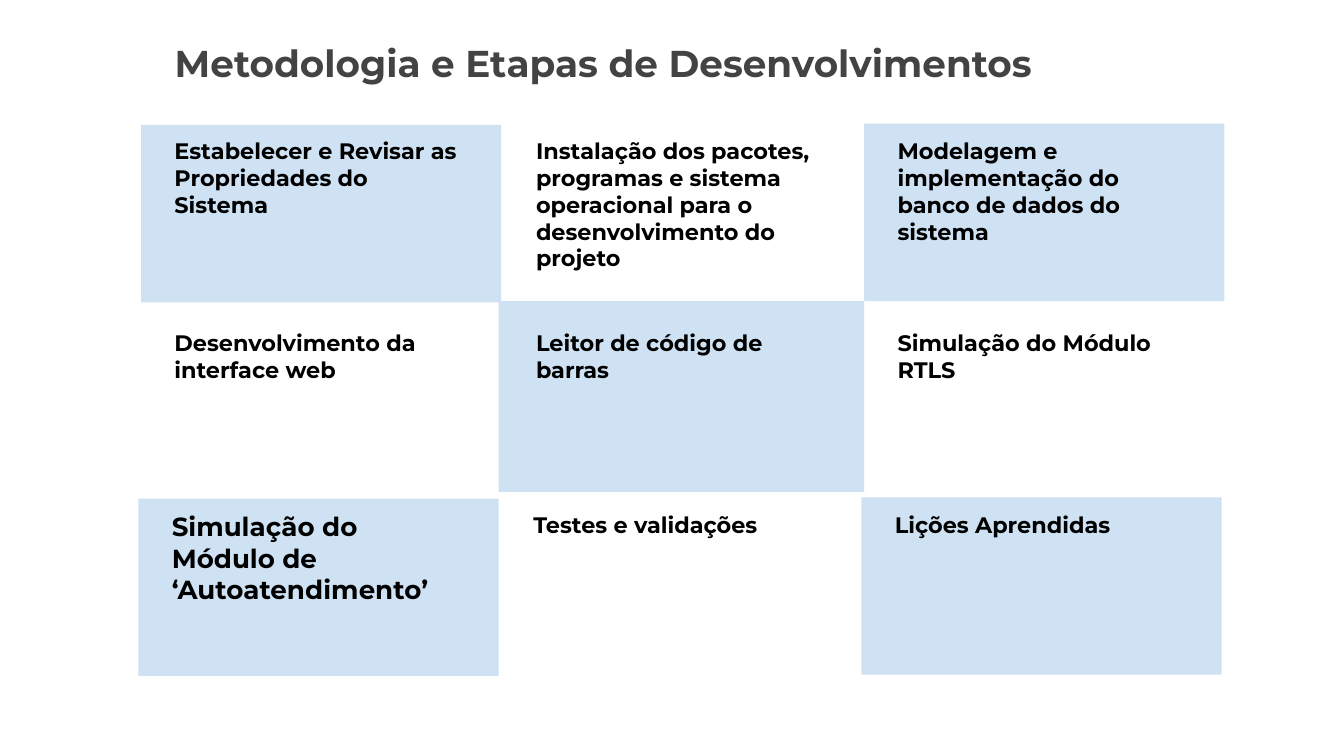
"""Build the slide of project steps as a checkered grid."""
from dataclasses import dataclass

import pptx
import pptx.dml.color
import pptx.enum.shapes
import pptx.enum.text
import pptx.shapes.autoshape
import pptx.slide
import pptx.util

Pt = pptx.util.Pt
FONT = "Montserrat"
BLUE, BLACK, GRAY = "CFE2F3", "000000", "434343"
LEFT, PITCH = 86.4, 193.7
WIDE, HIGH = 170.64, 89.28


@dataclass
class Box:
    left: float
    top: float
    width: float
    height: float


@dataclass
class Step:
    text: str
    size: float = 12


@dataclass
class Row:
    top: float
    shift: float
    steps: list[Step]


ROWS = [
    Row(66.24, 0, [
        Step("Estabelecer e Revisar as Propriedades do Sistema"),
        Step("Instalação dos pacotes, programas e sistema operacional "
             "para o desenvolvimento do projeto"),
        Step("Modelagem e implementação do banco de dados do sistema"),
    ]),
    Row(169.2, 0, [
        Step("Desenvolvimento da interface web"),
        Step("Leitor de código de barras"),
        Step("Simulação do Módulo RTLS"),
    ]),
    Row(266.4, -1.44, [
        Step("Simulação do Módulo de ‘Autoatendimento’", 14),
        Step("Testes e validações"),
        Step("Lições Aprendidas"),
    ]),
]
TILES = [
    Box(75.6, 66.96, 192.96, 95.04),
    Box(462.96, 66.24, 192.96, 95.04),
    Box(267.12, 161.28, 195.84, 102.24),
    Box(74.16, 267.12, 192.96, 95.04),
    Box(461.52, 266.4, 192.96, 95.04),
]


def color(code: str) -> pptx.dml.color.RGBColor:
    """Turn a hex string into a color."""
    return pptx.dml.color.RGBColor.from_string(code)


def tile(slide: pptx.slide.Slide, box: Box) -> None:
    """Draw one blue tile."""
    shape = slide.shapes.add_shape(
        pptx.enum.shapes.MSO_SHAPE.RECTANGLE,
        Pt(box.left), Pt(box.top), Pt(box.width), Pt(box.height))
    shape.shadow.inherit = False
    shape.fill.solid()
    shape.fill.fore_color.rgb = color(BLUE)
    shape.line.fill.background()


def write(shape: pptx.shapes.autoshape.Shape, text: str, size: float,
          code: str) -> None:
    """Put bold text at the top left of a shape."""
    frame = shape.text_frame
    frame.text = text
    frame.word_wrap = True
    frame.auto_size = pptx.enum.text.MSO_AUTO_SIZE.NONE
    frame.vertical_anchor = pptx.enum.text.MSO_ANCHOR.TOP
    frame.margin_left = frame.margin_right = Pt(7.2)
    frame.margin_top = frame.margin_bottom = Pt(7.2)
    line = frame.paragraphs[0]
    line.alignment = pptx.enum.text.PP_ALIGN.LEFT
    line.line_spacing = 1.0
    line.space_before = Pt(0)
    font = line.runs[0].font
    font.name, font.size, font.bold = FONT, Pt(size), True
    font.color.rgb = color(code)


def main() -> None:
    """Build and save the deck."""
    deck = pptx.Presentation()
    deck.slide_width, deck.slide_height = Pt(720), Pt(405)
    slide = deck.slides.add_slide(deck.slide_layouts.get_by_name("Title Only"))

    title = slide.shapes.title
    title.left, title.top = Pt(LEFT), Pt(14.4)
    title.width, title.height = Pt(555.12), Pt(38.16)
    write(title, "Metodologia e Etapas de Desenvolvimentos", 20, GRAY)

    for box in TILES:
        tile(slide, box)
    for row in ROWS:
        for col, step in enumerate(row.steps):
            left = LEFT + row.shift + col * PITCH
            label = slide.shapes.add_textbox(
                Pt(left), Pt(row.top), Pt(WIDE), Pt(HIGH))
            write(label, step.text, step.size, BLACK)

    deck.save("out.pptx")


if __name__ == "__main__":
    main()
